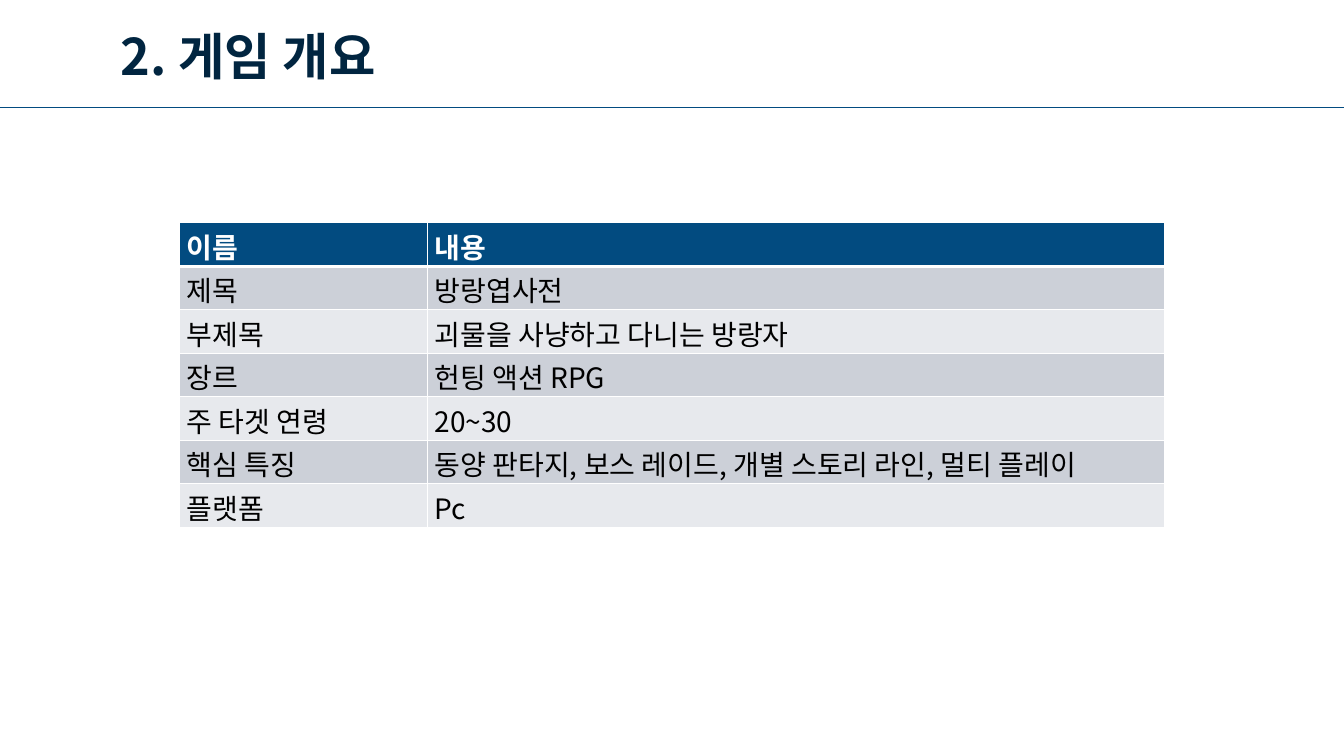
from lxml import etree
from pptx import Presentation
from pptx.dml.color import RGBColor
from pptx.enum.shapes import MSO_CONNECTOR
from pptx.enum.text import MSO_ANCHOR, PP_ALIGN
from pptx.oxml.ns import qn
from pptx.util import Pt

STRAIGHT = MSO_CONNECTOR.STRAIGHT
MIDDLE = MSO_ANCHOR.MIDDLE
LEFT = PP_ALIGN.LEFT
JUSTIFY = PP_ALIGN.JUSTIFY
FONT = "Noto Sans CJK KR"
COLORS = {
    "navy": "012540",
    "blue": "024B80",
    "dark_band": "CCD0D8",
    "light_band": "E7E9ED",
    "white": "FFFFFF",
    "black": "000000",
}
ROWS = [
    ("이름", "내용"),
    ("제목", "방랑엽사전"),
    ("부제목", "괴물을 사냥하고 다니는 방랑자"),
    ("장르", "헌팅 액션 RPG"),
    ("주 타겟 연령", "20~30"),
    ("핵심 특징", "동양 판타지, 보스 레이드, 개별 스토리 라인, 멀티 플레이"),
    ("플랫폼", "Pc"),
]
COLUMN_WIDTHS = (177.1, 526.7)
ROW_HEIGHT = 29.2


def write_text(paragraph, text, size, color, bold):
    run = paragraph.add_run()
    run.text = text
    font_format = {"name": FONT, "size": Pt(size), "bold": bold}
    for attribute, value in font_format.items():
        setattr(run.font, attribute, value)
    run.font.color.rgb = RGBColor.from_string(COLORS[color])
    etree.SubElement(run.font._element, qn("a:ea"), typeface=FONT)


def add_border(cell, side, width):
    properties = cell._tc.get_or_add_tcPr()
    border = etree.SubElement(properties, qn("a:" + side), w=str(Pt(width)))
    fill = etree.SubElement(border, qn("a:solidFill"))
    etree.SubElement(fill, qn("a:srgbClr"), val=COLORS["white"])


presentation = Presentation()
presentation.slide_width = Pt(960)
presentation.slide_height = Pt(540)
slide = presentation.slides.add_slide(presentation.slide_layouts[5])

line = slide.shapes.add_connector(STRAIGHT, Pt(0), Pt(76.8), Pt(960), Pt(76.8))
line.line.color.rgb = RGBColor.from_string(COLORS["blue"])
line.line.width = Pt(0.5)
etree.SubElement(line._element.spPr, qn("a:effectLst"))

title = slide.shapes.title
title_box = {"left": 79.2, "top": 13.7, "width": 296.6, "height": 51.1}
for attribute, value in title_box.items():
    setattr(title, attribute, Pt(value))
frame_format = {
    "margin_top": 0,
    "margin_bottom": 0,
    "vertical_anchor": MIDDLE,
    "word_wrap": True,
}
for attribute, value in frame_format.items():
    setattr(title.text_frame, attribute, value)
title_paragraph = title.text_frame.paragraphs[0]
title_paragraph.alignment = LEFT
write_text(title_paragraph, "2. 게임 개요", 36, "navy", True)

table = slide.shapes.add_table(
    len(ROWS), len(COLUMN_WIDTHS), Pt(128.3), Pt(159.2),
    Pt(sum(COLUMN_WIDTHS)), Pt(ROW_HEIGHT * len(ROWS)),
).table
for column, width in zip(table.columns, COLUMN_WIDTHS):
    column.width = Pt(width)

cell_format = {
    "margin_left": Pt(5.1),
    "margin_right": Pt(5.1),
    "margin_top": 0,
    "margin_bottom": 0,
    "vertical_anchor": MIDDLE,
}
paragraph_format = {"alignment": JUSTIFY, "line_spacing": 1.07, "space_after": Pt(0)}
for row_index, texts in enumerate(ROWS):
    table.rows[row_index].height = Pt(ROW_HEIGHT)
    header = row_index == 0
    band = "blue" if header else "dark_band" if row_index % 2 else "light_band"
    border_widths = {
        "lnL": 1,
        "lnR": 1,
        "lnT": 3 if row_index == 1 else 1,
        "lnB": 3 if header else 1,
    }
    for column_index, text in enumerate(texts):
        cell = table.cell(row_index, column_index)
        for attribute, value in cell_format.items():
            setattr(cell, attribute, value)
        for side, width in border_widths.items():
            add_border(cell, side, width)
        cell.fill.solid()
        cell.fill.fore_color.rgb = RGBColor.from_string(COLORS[band])
        paragraph = cell.text_frame.paragraphs[0]
        for attribute, value in paragraph_format.items():
            setattr(paragraph, attribute, value)
        write_text(paragraph, text, 20, "white" if header else "black", header)

presentation.save("out.pptx")
